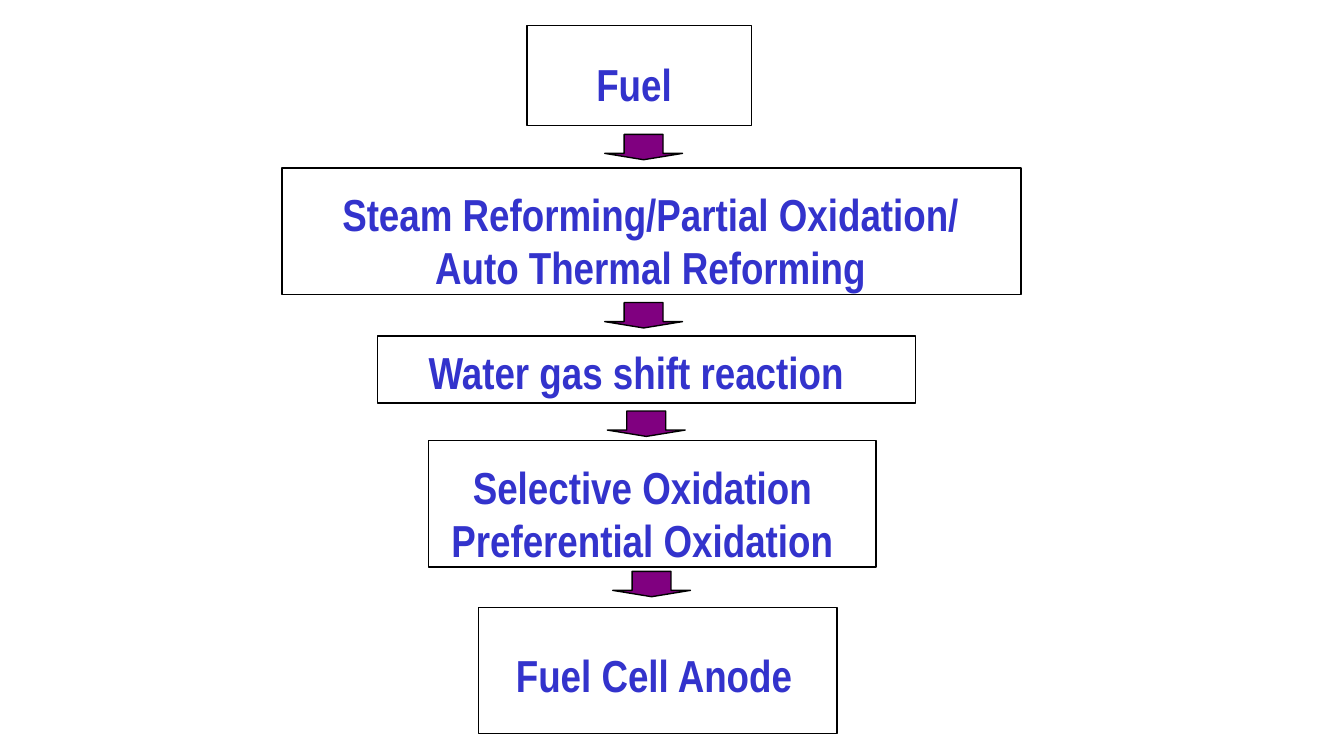
"""Builds a slide with the fuel processing chain from fuel to fuel cell anode."""
from dataclasses import dataclass

from pptx import Presentation
from pptx.dml.color import RGBColor
from pptx.enum.shapes import MSO_SHAPE
from pptx.enum.text import MSO_ANCHOR, MSO_AUTO_SIZE, PP_ALIGN
from pptx.util import Cm, Pt

RECTANGLE = MSO_SHAPE.RECTANGLE
DOWN_ARROW = MSO_SHAPE.DOWN_ARROW
LEFT, CENTER = PP_ALIGN.LEFT, PP_ALIGN.CENTER
TOP = MSO_ANCHOR.TOP
GROW = MSO_AUTO_SIZE.SHAPE_TO_FIT_TEXT

STEPS = [
    {"lines": ["Fuel"], "frame": (9.96, 0.48, 4.24, 1.9),
     "label": (11.02, 0.94, 1.93, 1.27), "align": LEFT, "wrap": False},
    {"lines": ["Steam Reforming/Partial Oxidation/ Auto Thermal Reforming"],
     "frame": (5.33, 3.18, 13.97, 2.39),
     "label": (6.02, 3.4, 12.55, 2.29), "align": CENTER, "wrap": True},
    {"lines": ["Water gas shift reaction"], "frame": (7.14, 6.35, 10.16, 1.27),
     "label": (7.85, 6.4, 9.45, 1.27), "align": LEFT, "wrap": True},
    {"lines": ["Selective Oxidation", "Preferential Oxidation"],
     "frame": (8.1, 8.33, 8.46, 2.39),
     "label": (8.28, 8.56, 7.72, 2.29), "align": CENTER, "wrap": False},
    {"lines": ["Fuel Cell Anode"], "frame": (9.04, 11.48, 6.78, 2.39),
     "label": (9.5, 12.12, 5.74, 1.27), "align": LEFT, "wrap": False},
]
ARROWS = [(11.43, 2.54), (11.43, 5.72), (11.48, 7.77), (11.58, 10.8)]
ARROW_SIZE = (1.47, 0.48)


@dataclass(frozen=True)
class Theme:
    font: str = "Arial Narrow"
    size: Pt = Pt(24)
    text: RGBColor = RGBColor(0x33, 0x33, 0xCC)
    arrow: RGBColor = RGBColor(0x80, 0x00, 0x80)
    line: RGBColor = RGBColor(0, 0, 0)
    line_width: Pt = Pt(0.75)


THEME = Theme()


def add_outlined(shapes, kind, bounds, fill=None):
    shape = shapes.add_shape(kind, *map(Cm, bounds))
    shape.shadow.inherit = False
    if fill is None:
        shape.fill.background()
    else:
        shape.fill.solid()
        shape.fill.fore_color.rgb = fill
    shape.line.color.rgb = THEME.line
    shape.line.width = THEME.line_width
    return shape


def add_text(shapes, lines, bounds, align=LEFT, wrap=True):
    box = shapes.add_textbox(*map(Cm, bounds))
    frame = box.text_frame
    frame.word_wrap = wrap
    frame.auto_size = GROW
    frame.vertical_anchor = TOP
    frame.text = "\n".join(lines)
    for paragraph in frame.paragraphs:
        paragraph.alignment = align
        for run in paragraph.runs:
            run.font.name = THEME.font
            run.font.size = THEME.size
            run.font.bold = True
            run.font.color.rgb = THEME.text


def main():
    presentation = Presentation()
    presentation.slide_width, presentation.slide_height = Cm(25.4), Cm(14.29)
    slide = presentation.slides.add_slide(presentation.slide_layouts[6])
    for step in STEPS:
        group = slide.shapes.add_group_shape()
        add_outlined(group.shapes, RECTANGLE, step["frame"])
        add_text(group.shapes, step["lines"], step["label"],
                 align=step["align"], wrap=step["wrap"])
    for position in ARROWS:
        arrow = add_outlined(slide.shapes, DOWN_ARROW, position + ARROW_SIZE, THEME.arrow)
        arrow.adjustments[0] = 0.5
        arrow.adjustments[1] = 0.25
    presentation.save("out.pptx")


if __name__ == "__main__":
    main()
